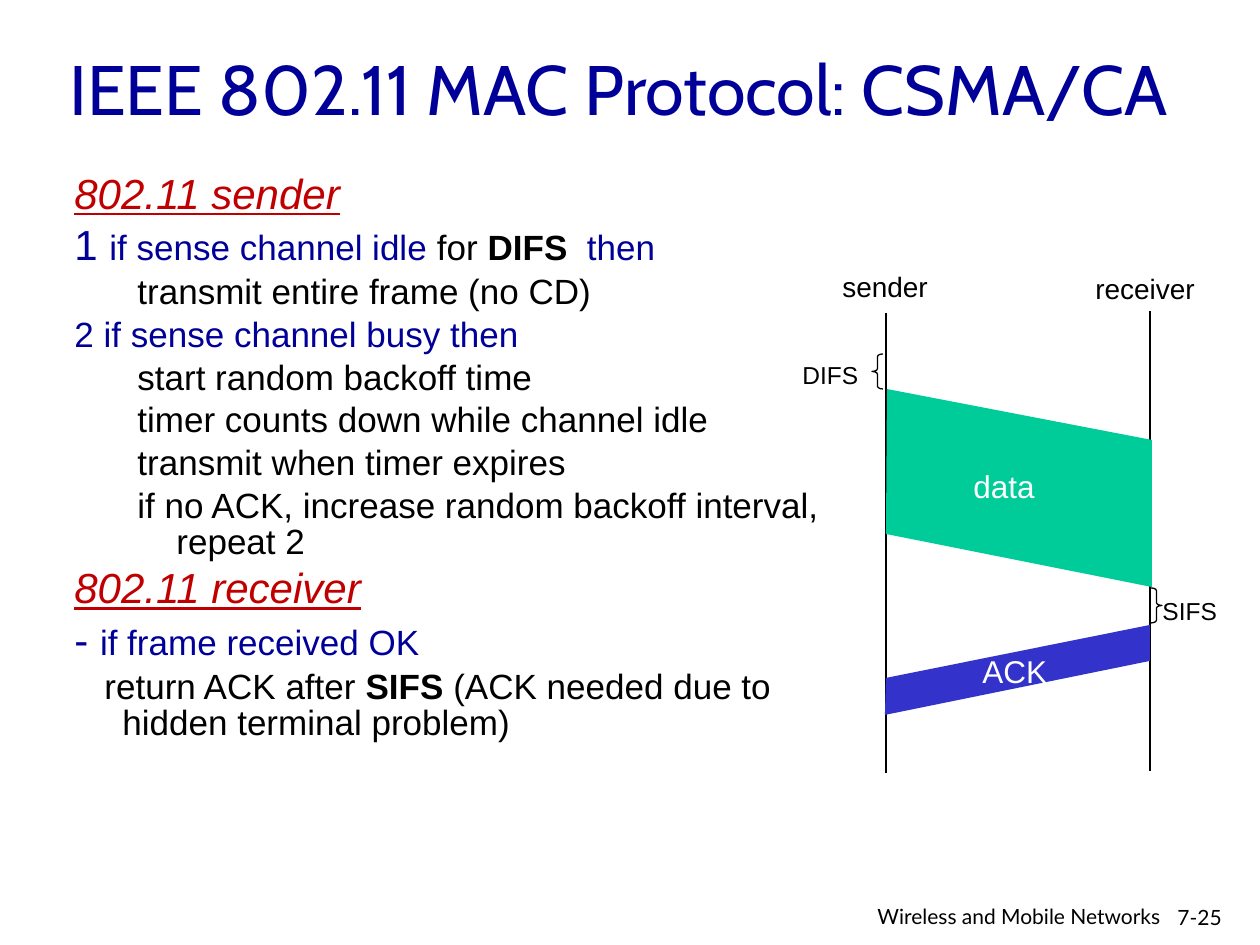
import pptx
import pptx.util
import pptx.dml.color
import pptx.enum.shapes
import pptx.enum.text
import pptx.oxml

PIXEL = 914400 / 126
RGB = pptx.dml.color.RGBColor
NAVY = RGB(0x00, 0x00, 0x99)
RED = RGB(0xC0, 0x00, 0x00)
BLACK = RGB(0x00, 0x00, 0x00)
WHITE = RGB(0xFF, 0xFF, 0xFF)
GREEN = RGB(0x00, 0xCC, 0x99)
BLUE = RGB(0x33, 0x33, 0xCC)
SHAPE = pptx.enum.shapes.MSO_SHAPE
ALIGN = pptx.enum.text.PP_ALIGN
ANCHOR = pptx.enum.text.MSO_ANCHOR

# Left margin and first-line indent in pixels
ITEM = (48, -48)
STEP = (102, -39)
REPLY = (48, -18)

# Each paragraph: indents, then runs of (text, size, colour, style)
BODY = [
    (ITEM, [("802.11 sender", 24, RED, "iu")]),
    (ITEM, [("1 ", 24, NAVY, ""), ("if sense channel idle", 20, NAVY, ""),
            (" for ", 20, BLACK, ""), ("DIFS ", 20, BLACK, "b"),
            (" then", 20, NAVY, "")]),
    (STEP, [("transmit entire frame (no CD)", 20, BLACK, "")]),
    (ITEM, [("2 if sense channel busy then", 20, NAVY, "")]),
    (STEP, [("start random backoff time", 20, BLACK, "")]),
    (STEP, [("timer counts down while channel idle", 20, BLACK, "")]),
    (STEP, [("transmit when timer expires", 20, BLACK, "")]),
    (STEP, [("if no ACK, increase random backoff interval, repeat 2",
             20, BLACK, "")]),
    (ITEM, [("802.11 receiver", 24, RED, "iu")]),
    (ITEM, [("- ", 24, NAVY, ""), ("if frame received OK", 20, NAVY, "")]),
    (REPLY, [("return ACK after ", 20, BLACK, ""), ("SIFS ", 20, BLACK, "b"),
             ("(ACK needed due to hidden terminal problem)", 20, BLACK, "")]),
]


def px(value):
    return pptx.util.Emu(round(value * PIXEL))


def add_run(paragraph, text, size, color, style="", font="Arial"):
    run = paragraph.add_run()
    run.text = text
    run.font.name = font
    run.font.size = pptx.util.Pt(size)
    run.font.color.rgb = color
    run.font.bold = "b" in style
    run.font.italic = "i" in style
    run.font.underline = "u" in style


def add_box(slide, left, top, width, height, wrap=True):
    box = slide.shapes.add_textbox(px(left), px(top), px(width), px(height))
    box.text_frame.word_wrap = wrap
    return box.text_frame


def add_label(slide, text, left, top, width, height, size, color=BLACK,
              font="Arial", wrap=False, align=ALIGN.LEFT):
    frame = add_box(slide, left, top, width, height, wrap)
    frame.paragraphs[0].alignment = align
    add_run(frame.paragraphs[0], text, size, color, font=font)
    return frame


def add_body(slide):
    frame = add_box(slide, 62, 169, 776, 683)
    for index, ((margin, indent), runs) in enumerate(BODY):
        paragraph = frame.add_paragraph() if index else frame.paragraphs[0]
        paragraph.line_spacing = 0.85
        paragraph.space_before = pptx.util.Pt(runs[0][1] * 0.2)
        properties = paragraph._p.get_or_add_pPr()
        properties.set("marL", str(px(margin)))
        properties.set("indent", str(px(indent)))
        for run in runs:
            add_run(paragraph, *run)


def add_timeline(slide, x, top, bottom):
    line = slide.shapes.add_connector(
        pptx.enum.shapes.MSO_CONNECTOR.STRAIGHT,
        px(x), px(top), px(x), px(bottom))
    line.line.color.rgb = BLACK
    line.line.width = pptx.util.Pt(0.75)
    line._element.spPr.append(pptx.oxml.parse_xml(
        '<a:effectLst xmlns:a='
        '"http://schemas.openxmlformats.org/drawingml/2006/main"/>'))


def add_brace(slide, kind, left, top):
    brace = slide.shapes.add_shape(kind, px(left), px(top), px(11), px(35))
    brace.shadow.inherit = False
    brace.adjustments[0] = 0.25
    brace.adjustments[1] = 0.5
    brace.fill.background()
    brace.line.color.rgb = BLACK
    brace.line.width = pptx.util.Pt(0.75)


def add_frame(slide, points, color):
    builder = slide.shapes.build_freeform(*points[0], scale=PIXEL)
    builder.add_line_segments(points[1:], close=True)
    shape = builder.convert_to_shape()
    shape.shadow.inherit = False
    shape.fill.solid()
    shape.fill.fore_color.rgb = color
    shape.line.fill.background()


def main():
    presentation = pptx.Presentation()
    presentation.slide_width = px(1260)
    presentation.slide_height = px(945)
    slide = presentation.slides.add_slide(presentation.slide_layouts[6])

    # Title and protocol steps
    title = add_label(slide, "IEEE 802.11 MAC Protocol: CSMA/CA",
                      57, 22, 1133, 131, 40, NAVY, "Cabin", wrap=True)
    title.vertical_anchor = ANCHOR.MIDDLE
    add_body(slide)

    # Timelines
    add_timeline(slide, 886, 313, 773)
    add_timeline(slide, 1150, 311, 771)
    add_label(slide, "sender", 830, 263, 115, 47, 16)
    add_label(slide, "receiver", 1083, 265, 126, 47, 16)

    # Data frame after DIFS
    add_brace(slide, SHAPE.LEFT_BRACE, 872, 354)
    add_label(slide, "DIFS", 790, 354, 82, 43, 14)
    add_frame(slide, [(887, 389), (1152, 440), (1152, 587), (886, 534)], GREEN)
    add_label(slide, "data", 961, 461, 87, 50, 18, WHITE)

    # Acknowledgement after SIFS
    add_label(slide, "SIFS", 1150, 590, 81, 43, 14)
    add_brace(slide, SHAPE.RIGHT_BRACE, 1151, 588)
    add_frame(slide, [(885, 715), (1150, 661), (1150, 625), (886, 678)], BLUE)
    add_label(slide, "ACK", 970, 646, 91, 50, 18, WHITE)

    # Footer
    add_label(slide, "7-25", 1165, 898, 95, 38, 12, font="Lato", wrap=True)
    add_label(slide, "Wireless and Mobile Networks", 806, 897, 367, 35, 12,
              font="Lato", wrap=True, align=ALIGN.RIGHT)

    presentation.save("out.pptx")


main()
